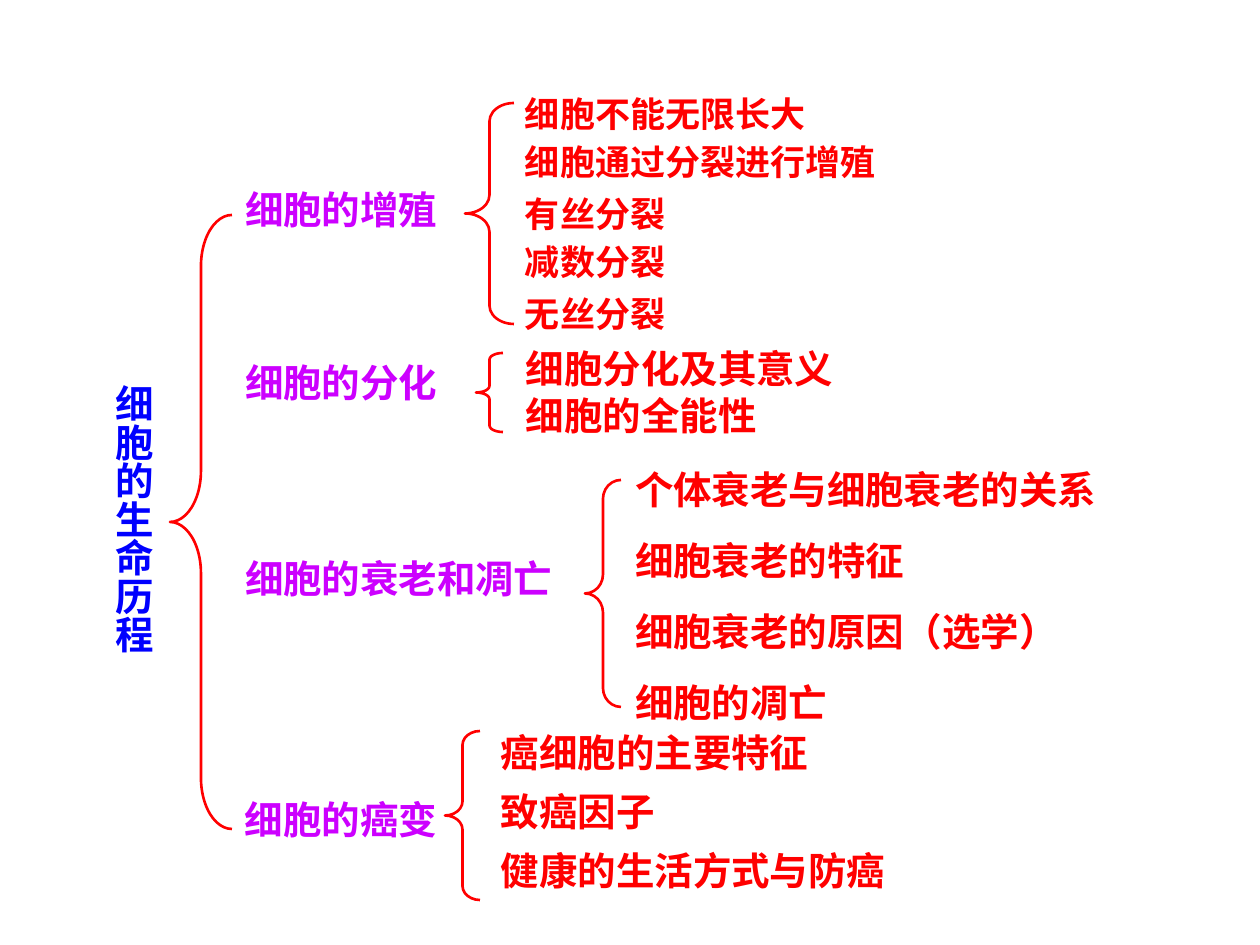
import pptx
import pptx.util
import pptx.dml.color
import pptx.enum.shapes
import pptx.enum.text
import pptx.oxml
import pptx.oxml.ns
from dataclasses import dataclass

SCALE = 914400 / 126


@dataclass(frozen=True)
class Theme:
    font: str = "Noto Sans CJK SC"
    serif: str = "Times New Roman"
    root: str = "0000FF"
    branch: str = "CC00FF"
    leaf: str = "FF0000"
    line: str = "FF0000"
    large: int = 22
    small: int = 20
    stroke: float = 1.5


THEME = Theme()


def px(n):
    return pptx.util.Emu(round(n * SCALE))


def place(sp, x, y, w, h):
    sp.left, sp.top, sp.width, sp.height = px(x), px(y), px(w), px(h)


def write(sp, text, color, size, latin=THEME.font, margins=(13, 6), wrap=True):
    tf = sp.text_frame
    tf.text = text
    tf.word_wrap = wrap
    tf.auto_size = pptx.enum.text.MSO_AUTO_SIZE.NONE
    tf.vertical_anchor = pptx.enum.text.MSO_ANCHOR.TOP
    tf.margin_left = tf.margin_right = px(margins[0])
    tf.margin_top = tf.margin_bottom = px(margins[1])
    p = tf.paragraphs[0]
    p.alignment = pptx.enum.text.PP_ALIGN.LEFT
    r = p.runs[0]
    r.font.name = latin
    r.font.size = pptx.util.Pt(size)
    r.font.bold = True
    r.font.color.rgb = pptx.dml.color.RGBColor.from_string(color)
    ea = pptx.oxml.parse_xml(
        f'<a:ea {pptx.oxml.ns.nsdecls("a")} typeface="{THEME.font}"/>')
    r.font._element.find(pptx.oxml.ns.qn("a:latin")).addnext(ea)


def add_root(s, text, x, y, w, h):
    sp = s.shapes.title
    place(sp, x, y, w, h)
    write(sp, text, THEME.root, THEME.large, margins=(6, 13))
    sp.text_frame._txBody.bodyPr.set("vert", "eaVert")


def add_label(s, text, x, y, w, color, size=THEME.large, **style):
    height = 59 if size == THEME.large else 55
    sp = s.shapes.add_textbox(px(x), px(y), px(w), px(height))
    write(sp, text, color, size, **style)


def add_brace(s, x, y, w, h):
    sp = s.shapes.add_shape(
        pptx.enum.shapes.MSO_SHAPE.LEFT_BRACE, px(x), px(y), px(w), px(h))
    sp.adjustments[0] = h / 12 / min(w, h)
    sp.shadow.inherit = False
    sp.fill.background()
    sp.line.color.rgb = pptx.dml.color.RGBColor.from_string(THEME.line)
    sp.line.width = pptx.util.Pt(THEME.stroke)


def add_leaves(s, x, w, tops, texts, size=THEME.large, serif=()):
    for top, text in zip(tops, texts):
        latin = THEME.serif if text in serif else THEME.font
        add_label(s, text, x, top, w, THEME.leaf, size, latin=latin)


def main():
    prs = pptx.Presentation()
    prs.slide_width, prs.slide_height = px(1260), px(945)
    s = prs.slides.add_slide(prs.slide_layouts[5])

    add_root(s, "细胞的生命历程", 92, 372, 71, 319)

    branches = [
        ("细胞的增殖", 180, 293), ("细胞的分化", 353, 293),
        ("细胞的衰老和凋亡", 549, 333), ("细胞的癌变", 790, 406),
    ]
    for text, top, width in branches:
        add_label(s, text, 232, top, width, THEME.branch, wrap=False)

    add_leaves(s, 512, 495, (86, 134, 186, 234, 286),
               ("细胞不能无限长大", "细胞通过分裂进行增殖", "有丝分裂",
                "减数分裂", "无丝分裂"), THEME.small)
    add_leaves(s, 513, 407, (339, 386), ("细胞分化及其意义", "细胞的全能性"))
    aging = ("个体衰老与细胞衰老的关系", "细胞衰老的特征",
             "细胞衰老的原因（选学）", "细胞的凋亡")
    add_leaves(s, 622, 610, range(460, 700, 71), aging, serif=aging[2:])
    add_leaves(s, 488, 610, range(723, 850, 59),
               ("癌细胞的主要特征", "致癌因子", "健康的生活方式与防癌"))

    braces = [
        (170, 215, 62, 614), (465, 103, 49, 221), (476, 353, 27, 79),
        (585, 480, 36, 227), (445, 731, 35, 169),
    ]
    for box in braces:
        add_brace(s, *box)

    prs.save("out.pptx")


if __name__ == "__main__":
    main()
